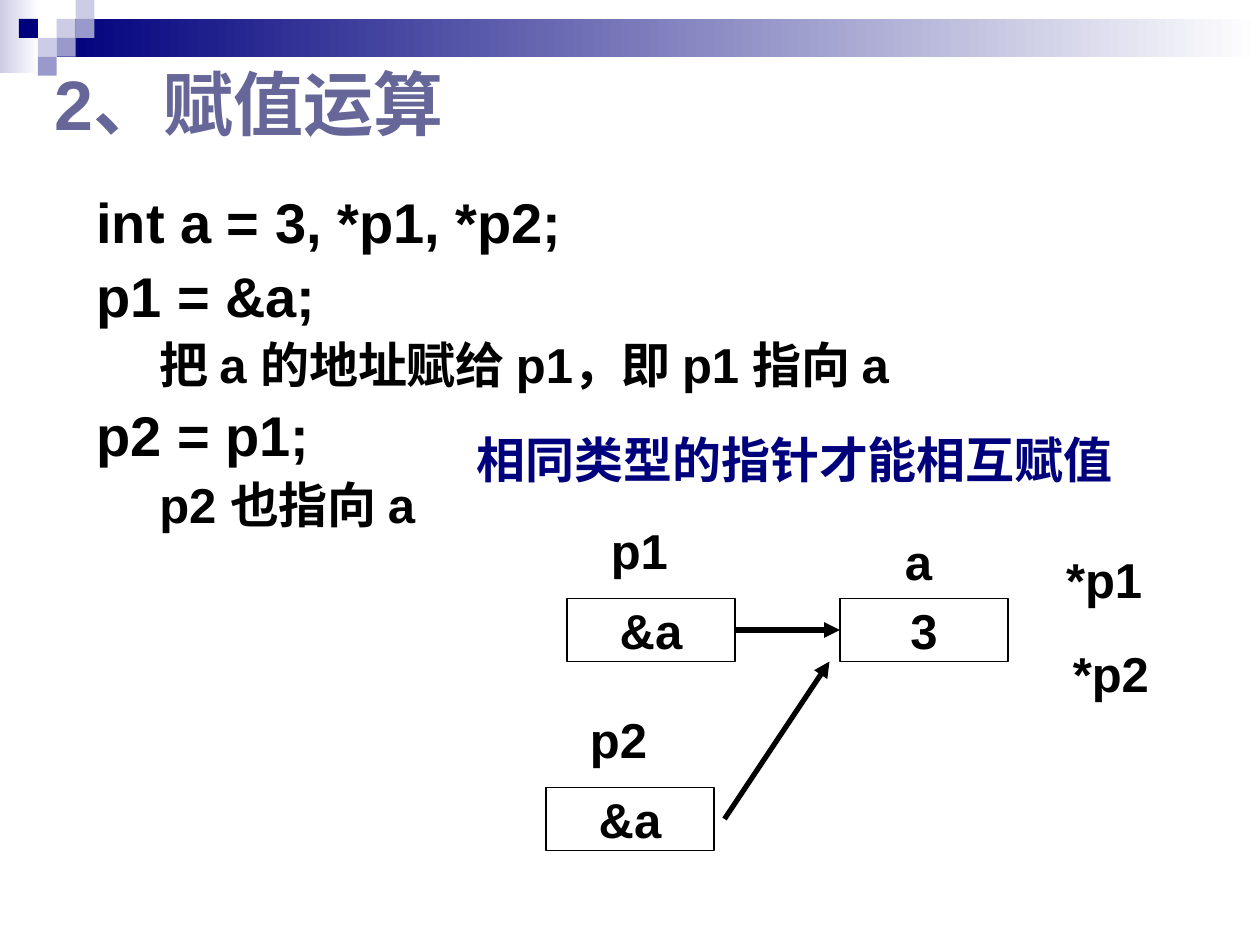
from dataclasses import dataclass
from lxml.etree import SubElement
from pptx import Presentation
from pptx.dml.color import RGBColor
from pptx.enum.shapes import MSO_CONNECTOR, MSO_SHAPE
from pptx.enum.text import MSO_ANCHOR, MSO_AUTO_SIZE, PP_ALIGN
from pptx.oxml.ns import qn
from pptx.util import Inches, Pt

COLUMNS, ROWS = 120, 90
CELL = Inches(10) / COLUMNS


@dataclass(frozen=True)
class Theme:
    font: str = "Arial"
    title: int = 40
    code: int = 32
    text: int = 28
    black: str = "000000"
    navy: str = "00007D"
    slate: str = "666699"
    violet: str = "9999CC"
    pale: str = "CCCCE6"
    white: str = "FFFFFF"


THEME = Theme()


@dataclass(frozen=True)
class Box:
    left: float
    top: float
    width: float
    height: float

    def inner(self, column, row, width, height):
        return Box(self.left + column, self.top + row, width, height)

    def point(self, column, row):
        return round((self.left + column) * CELL), round((self.top + row) * CELL)

    def lengths(self):
        return [round(n * CELL) for n in (self.left, self.top, self.width, self.height)]


def apply(target, values):
    for name, value in values.items():
        setattr(target, name, value)


def write(frame, lines, color=THEME.black, size=THEME.text, wrap=False,
          anchor=MSO_ANCHOR.TOP, align=PP_ALIGN.LEFT):
    apply(frame, {"word_wrap": wrap, "auto_size": MSO_AUTO_SIZE.NONE,
                  "vertical_anchor": anchor})
    for index, (text, changes) in enumerate(lines):
        para = frame.paragraphs[0] if index == 0 else frame.add_paragraph()
        span = para.add_run()
        span.text = text
        layout = dict(changes)
        points = layout.pop("size", size)
        indent = layout.pop("indent", 0)
        if indent:
            para._p.get_or_add_pPr().set("marL", str(round(indent * CELL)))
        apply(para, {"alignment": align, **layout})
        apply(span.font, {"name": THEME.font, "size": Pt(points), "bold": True})
        span.font.color.rgb = RGBColor.from_string(color)


def add_label(page, box, lines, **style):
    label = page.shapes.add_textbox(*box.lengths())
    write(label.text_frame, lines, **style)


def add_block(page, box, colors):
    block = page.shapes.add_shape(MSO_SHAPE.RECTANGLE, *box.lengths())
    block.shadow.inherit = False
    block.line.fill.background()
    if len(colors) == 1:
        block.fill.solid()
        block.fill.fore_color.rgb = RGBColor.from_string(colors[0])
        return
    block.fill.gradient()
    block.fill.gradient_angle = 0
    for stop, color, position in zip(block.fill.gradient_stops, colors, (0, 1)):
        stop.color.rgb = RGBColor.from_string(color)
        stop.position = position


def add_variable(page, box, value):
    cell = page.shapes.add_shape(MSO_SHAPE.RECTANGLE, *box.lengths())
    cell.shadow.inherit = False
    cell.fill.background()
    cell.line.color.rgb = RGBColor.from_string(THEME.black)
    cell.line.width = Pt(1)
    write(cell.text_frame, [(value, {})], anchor=MSO_ANCHOR.MIDDLE, align=PP_ALIGN.CENTER)
    return cell


def add_arrow(page, start, end):
    arrow = page.shapes.add_connector(MSO_CONNECTOR.STRAIGHT, *start, *end)
    arrow.line.color.rgb = RGBColor.from_string(THEME.black)
    arrow.line.width = Pt(3)
    properties = arrow._element.spPr
    SubElement(properties.find(qn("a:ln")), qn("a:tailEnd"), type="triangle")
    SubElement(properties, qn("a:effectLst"))
    return arrow


def draw_header(page, box):
    side = 1.8
    add_block(page, box.inner(0, 0, 3.7, 7), (THEME.pale, THEME.white))
    add_block(page, box.inner(3 * side, side, box.width - 3 * side, 2 * side),
              (THEME.navy, THEME.white))
    squares = {
        THEME.pale: [(3, 1), (4, 0), (2, 2)],
        THEME.violet: [(4, 1), (3, 2), (2, 3)],
        THEME.navy: [(1, 1)],
    }
    for color, places in squares.items():
        for column, row in places:
            add_block(page, box.inner(column * side, row * side, side, side), (color,))


def draw_title(page, box):
    title = page.shapes.title
    apply(title, dict(zip(("left", "top", "width", "height"), box.lengths())))
    write(title.text_frame, [("2、赋值运算", {})], color=THEME.slate, size=THEME.title,
          wrap=True, anchor=MSO_ANCHOR.BOTTOM)


def draw_statements(page, box):
    code = {"size": THEME.code, "line_spacing": 0.9, "space_before": Pt(8)}
    remark = {"indent": 6, "line_spacing": 0.9, "space_before": Pt(7)}
    add_label(page, box, [
        ("int a = 3, *p1, *p2;", {"size": THEME.code, "line_spacing": 1.2}),
        ("p1 = &a;", code),
        ("把 a 的地址赋给 p1，即 p1 指向 a", remark),
        ("p2 = p1;", code),
        ("p2 也指向 a", remark),
    ], wrap=True)


def draw_rule(page, box):
    add_label(page, box, [("相同类型的指针才能相互赋值", {"line_spacing": 0.9})],
              color=THEME.navy)


def draw_pointers(page, box):
    width, height = 16, 6
    target = add_variable(page, box.inner(28, 8, width, height), "3")
    first = add_variable(page, box.inner(2, 8, width, height), "&a")
    add_variable(page, box.inner(0, 26, width, height), "&a")

    for name, column, row, span in (("a", 33, 1, 5), ("p1", 5, 0, 8), ("p2", 3, 18, 8)):
        add_label(page, box.inner(column, row, span, 7), [(name, {})])

    direct = add_arrow(page, box.point(18, 11), box.point(28, 11))
    direct.begin_connect(first, 3)
    direct.end_connect(target, 1)
    add_arrow(page, box.point(17, 29), box.point(27, 14))

    add_label(page, box.inner(48.2, 2.5, 11.2, 16.2),
              [("*p1 ", {}), ("*p2", {"space_before": Pt(20)})],
              anchor=MSO_ANCHOR.MIDDLE, align=PP_ALIGN.CENTER)


def main():
    deck = Presentation()
    apply(deck, {"slide_width": round(COLUMNS * CELL), "slide_height": round(ROWS * CELL)})
    page = deck.slides.add_slide(deck.slide_layouts[5])
    draw_header(page, Box(0, 0, COLUMNS, 7))
    draw_title(page, Box(4, 5.4, 58, 9))
    draw_pointers(page, Box(52, 49, 60, 32))
    draw_statements(page, Box(8, 16, 101, 37.5))
    draw_rule(page, Box(44.2, 41, 63, 6.2))
    deck.save("out.pptx")


if __name__ == "__main__":
    main()
